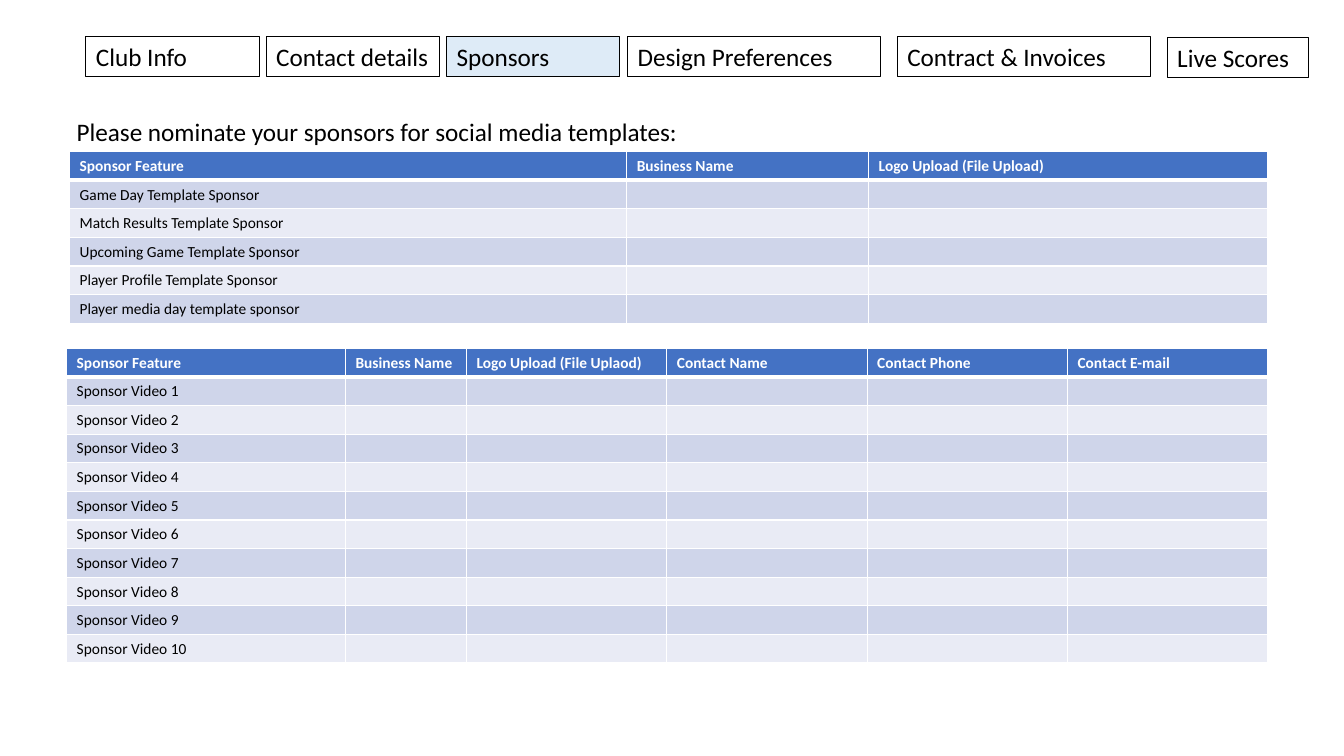
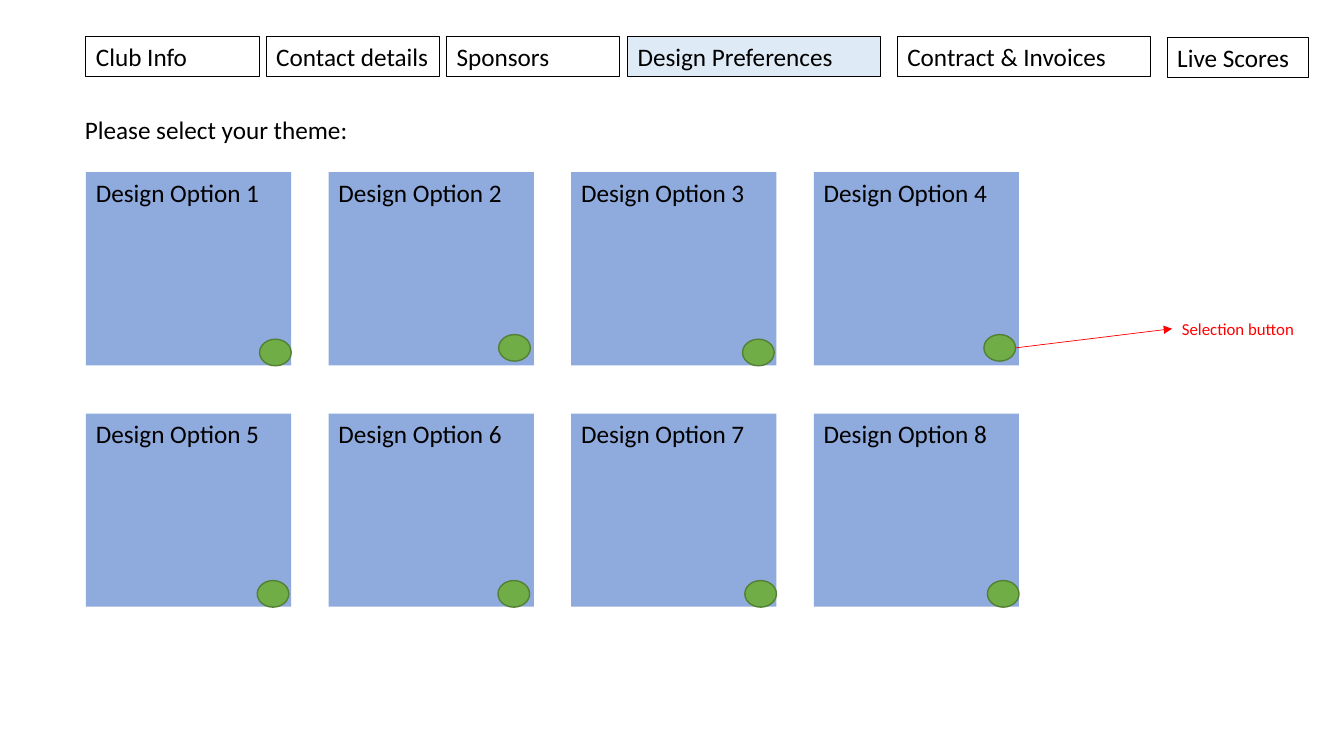
"""Build two club portal screens: sponsor nomination and design preferences."""
from dataclasses import dataclass

from lxml.etree import SubElement
from pptx import Presentation
from pptx.dml.color import RGBColor as Rgb
from pptx.enum.shapes import MSO_CONNECTOR as Connector, MSO_SHAPE as Preset
from pptx.enum.text import MSO_ANCHOR as Anchor, MSO_AUTO_SIZE as AutoSize, PP_ALIGN as Align
from pptx.oxml.ns import qn
from pptx.shapes.autoshape import Shape
from pptx.slide import Slide
from pptx.table import _Cell as Cell
from pptx.text.text import TextFrame
from pptx.util import Pt


@dataclass(frozen=True)
class Theme:
    font: str = "Calibri"
    ink: str = "000000"
    paper: str = "FFFFFF"
    active_tab: str = "DEEBF7"
    table_head: str = "4472C4"
    bands: tuple[str, str] = ("CFD5EA", "E9EBF5")
    card: str = "8FAADC"
    button: str = "70AD47"
    button_edge: str = "538035"
    callout: str = "FF0000"
    text_size: float = 18
    callout_size: float = 12
    table_size: float = 11


@dataclass(frozen=True)
class Box:
    left: float
    top: float
    width: float
    height: float

    def lengths(self) -> tuple[Pt, Pt, Pt, Pt]:
        return Pt(self.left), Pt(self.top), Pt(self.width), Pt(self.height)


@dataclass(frozen=True)
class Tab:
    label: str
    box: Box


@dataclass(frozen=True)
class SponsorTable:
    left: float
    top: float
    widths: tuple[float, ...]
    headings: tuple[str, ...]
    features: tuple[str, ...]


THEME = Theme()
ROW_HEIGHT = 20.4
TABS = (
    Tab("Club Info", Box(61.4, 26, 123.8, 29)),
    Tab("Contact details", Box(190.2, 26, 123.8, 29)),
    Tab("Sponsors", Box(319, 26, 123.8, 29)),
    Tab("Design Preferences", Box(448.3, 26, 180.7, 29)),
    Tab("Contract & Invoices", Box(641, 26, 180.7, 29)),
    Tab("Live Scores", Box(833.8, 26.6, 100.8, 29)),
)
TEMPLATE_SPONSORS = SponsorTable(
    49.7, 108.3, (398, 172.8, 285),
    ("Sponsor Feature", "Business Name", "Logo Upload (File Upload)"),
    ("Game Day Template Sponsor", "Match Results Template Sponsor",
     "Upcoming Game Template Sponsor", "Player Profile Template Sponsor",
     "Player media day template sponsor"),
)
VIDEO_SPONSORS = SponsorTable(
    47.6, 248.8, (199.2, 86.4) + (143.1,) * 4,
    ("Sponsor Feature", "Business Name", "Logo Upload (File Uplaod)",
     "Contact Name", "Contact Phone", "Contact E-mail"),
    tuple(f"Sponsor Video {number}" for number in range(1, 11)),
)
FIRST_CARD = Box(61.4, 123, 146.6, 138)
CARD_COLUMNS, COLUMN_PITCH, ROW_PITCH = 4, 173.3, 172.4
BUTTON_OFFSETS = (
    (124, 119.3), (121.5, 116), (122.4, 119.3), (121.5, 116),
    (122.3, 119.3), (121, 119.3), (124, 119.3), (124, 119.3),
)


def write(frame: TextFrame, text: str, size: float, color: str, bold: bool = False) -> None:
    paragraph = frame.paragraphs[0]
    paragraph.alignment = Align.LEFT
    if not text:
        SubElement(paragraph._p, qn("a:endParaRPr"), sz=str(int(size * 100)))
        return
    run = paragraph.add_run()
    run.text = text
    run.font.name = THEME.font
    run.font.size = Pt(size)
    run.font.bold = bold
    run.font.color.rgb = Rgb.from_string(color)


def set_frame(frame: TextFrame, fit: AutoSize) -> None:
    frame.word_wrap = True
    frame.auto_size = fit
    frame.vertical_anchor = Anchor.TOP


def add_panel(slide: Slide, preset: Preset, box: Box, fill: str | None = None,
              edge: str | None = None, edge_width: float = 0.75) -> Shape:
    panel = slide.shapes.add_shape(preset, *box.lengths())
    panel.shadow.inherit = False
    if fill:
        panel.fill.solid()
        panel.fill.fore_color.rgb = Rgb.from_string(fill)
    else:
        panel.fill.background()
    if edge:
        panel.line.color.rgb = Rgb.from_string(edge)
        panel.line.width = Pt(edge_width)
    else:
        panel.line.fill.background()
    return panel


def add_screen(deck: Presentation, prompt: str, left: float, top: float, active: str) -> Slide:
    slide = deck.slides.add_slide(deck.slide_layouts[5])
    title = slide.shapes.title
    title.left, title.top, title.width, title.height = Box(left, top, 567.4, 29).lengths()
    set_frame(title.text_frame, AutoSize.SHAPE_TO_FIT_TEXT)
    write(title.text_frame, prompt, THEME.text_size, THEME.ink)
    for tab in TABS:
        fill = THEME.active_tab if tab.label == active else None
        panel = add_panel(slide, Preset.RECTANGLE, tab.box, fill, THEME.ink)
        set_frame(panel.text_frame, AutoSize.SHAPE_TO_FIT_TEXT)
        write(panel.text_frame, tab.label, THEME.text_size, THEME.ink)
    return slide


def style_cell(cell: Cell, fill: str, bottom: float, top: float) -> None:
    properties = cell._tc.get_or_add_tcPr()
    for side, width in (("L", 1), ("R", 1), ("T", top), ("B", bottom)):
        border = SubElement(properties, qn(f"a:ln{side}"), w=str(Pt(width)))
        SubElement(SubElement(border, qn("a:solidFill")), qn("a:srgbClr"), val=THEME.paper)
    cell.fill.solid()
    cell.fill.fore_color.rgb = Rgb.from_string(fill)


def add_sponsor_table(slide: Slide, sponsors: SponsorTable) -> None:
    blanks = ("",) * (len(sponsors.headings) - 1)
    rows = [sponsors.headings] + [(feature, *blanks) for feature in sponsors.features]
    area = Box(sponsors.left, sponsors.top, sum(sponsors.widths), ROW_HEIGHT * len(rows))
    table = slide.shapes.add_table(len(rows), len(sponsors.widths), *area.lengths()).table
    for column, width in zip(table.columns, sponsors.widths):
        column.width = Pt(width)
    for index, texts in enumerate(rows):
        table.rows[index].height = Pt(ROW_HEIGHT)
        head = index == 0
        fill = THEME.table_head if head else THEME.bands[(index - 1) % 2]
        for cell, text in zip(table.rows[index].cells, texts):
            style_cell(cell, fill, bottom=3 if head else 1, top=3 if index == 1 else 1)
            write(cell.text_frame, text, THEME.table_size, THEME.paper if head else THEME.ink, head)


def add_design_options(slide: Slide) -> None:
    for index, (across, down) in enumerate(BUTTON_OFFSETS):
        row, column = divmod(index, CARD_COLUMNS)
        left = FIRST_CARD.left + column * COLUMN_PITCH
        top = FIRST_CARD.top + row * ROW_PITCH
        card = add_panel(slide, Preset.RECTANGLE,
                         Box(left, top, FIRST_CARD.width, FIRST_CARD.height), THEME.card)
        set_frame(card.text_frame, AutoSize.NONE)
        write(card.text_frame, f"Design Option {index + 1}", THEME.text_size, THEME.ink)
        add_panel(slide, Preset.OVAL, Box(left + across, top + down, 22.6, 19),
                  THEME.button, THEME.button_edge, 1)


def add_selection_callout(slide: Slide) -> None:
    label = slide.shapes.add_textbox(*Box(837.2, 223.9, 112.3, 21.8).lengths())
    set_frame(label.text_frame, AutoSize.SHAPE_TO_FIT_TEXT)
    write(label.text_frame, "Selection button", THEME.callout_size, THEME.callout)
    arrow = slide.shapes.add_connector(Connector.STRAIGHT, Pt(725.4), Pt(248.5), Pt(837.2), Pt(234.8))
    arrow.end_connect(label, 1)
    arrow.line.color.rgb = Rgb.from_string(THEME.callout)
    arrow.line.width = Pt(0.5)
    SubElement(arrow.line._get_or_add_ln(), qn("a:tailEnd"), type="triangle")
    SubElement(arrow._element.spPr, qn("a:effectLst"))


def main() -> None:
    deck = Presentation()
    deck.slide_width, deck.slide_height = Pt(960), Pt(540)
    sponsors = add_screen(deck, "Please nominate your sponsors for social media templates:",
                          47.5, 79.4, "Sponsors")
    for table in (TEMPLATE_SPONSORS, VIDEO_SPONSORS):
        add_sponsor_table(sponsors, table)
    designs = add_screen(deck, "Please select your theme:", 53.4, 78, "Design Preferences")
    add_design_options(designs)
    add_selection_callout(designs)
    deck.save("out.pptx")


if __name__ == "__main__":
    main()
